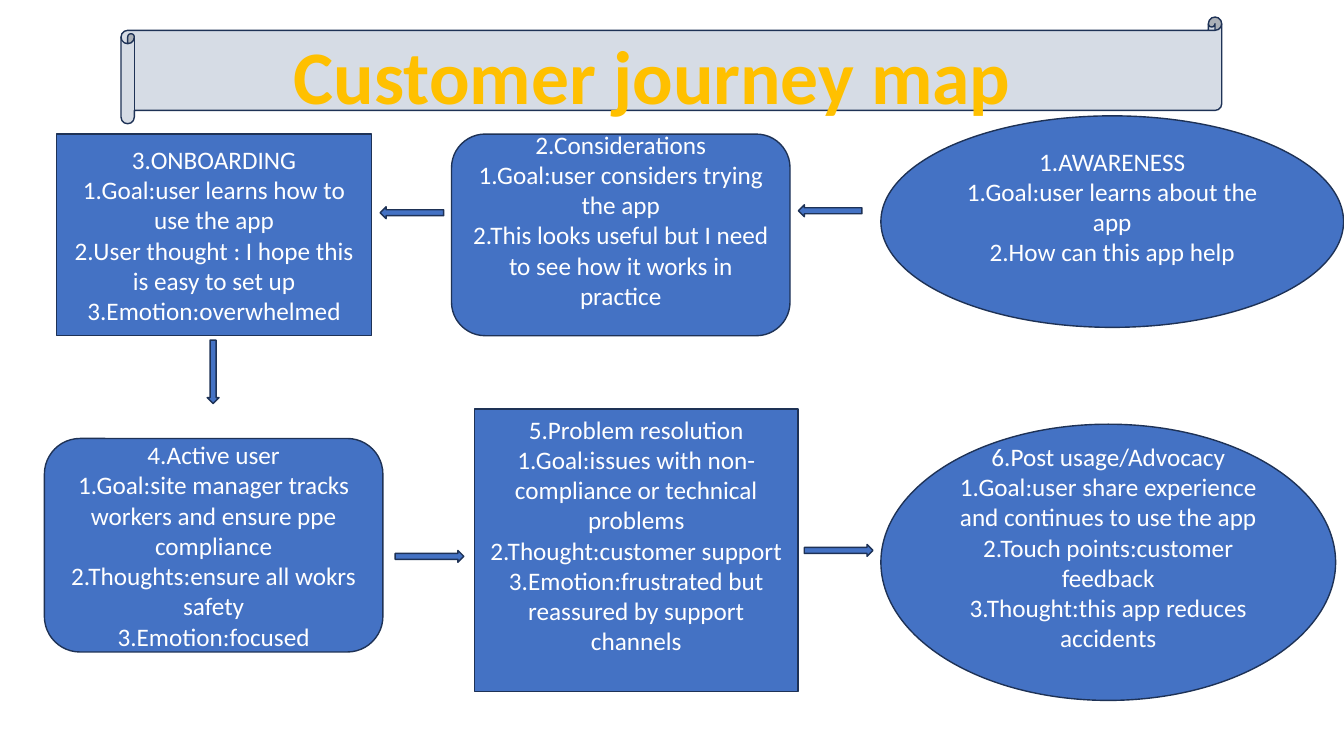
from pptx import Presentation
from pptx import util as u
from pptx.dml.color import RGBColor
from pptx.enum import shapes, text

Cm = u.Cm
KIND = shapes.MSO_SHAPE
BLUE, NAVY, PALE, GOLD, WHITE = "4472C4", "1E3256", "D6DCE5", "FFC000", "FFFFFF"
LINE_HEIGHT = 0.77  # one 18 pt line, in cm

journey = Presentation()
journey.slide_width, journey.slide_height = Cm(33.87), Cm(19.05)
slide = journey.slides.add_slide(journey.slide_layouts[6])


def add_outlined(kind, left, top, width, height, fill=BLUE):
    shape = slide.shapes.add_shape(kind, Cm(left), Cm(top), Cm(width), Cm(height))
    shape.shadow.inherit = False
    shape.fill.solid()
    shape.fill.fore_color.rgb = RGBColor.from_string(fill)
    shape.line.color.rgb = RGBColor.from_string(NAVY)
    shape.line.width = u.Pt(1)
    return shape


def write(frame, lines, size=18, color=WHITE, bold=False, wrap=True,
          anchor=text.MSO_ANCHOR.MIDDLE):
    frame.word_wrap = wrap
    frame.vertical_anchor = anchor
    for index, line in enumerate(lines):
        paragraph = frame.add_paragraph() if index else frame.paragraphs[0]
        paragraph.alignment = text.PP_ALIGN.CENTER
        run = paragraph.add_run()
        run.text = line
        run.font.name = "Calibri"
        run.font.size = u.Pt(size)
        run.font.bold = bold
        run.font.color.rgb = RGBColor.from_string(color)


# Title on its scroll
add_outlined(KIND.HORIZONTAL_SCROLL, 3.05, 0.43, 27.74, 2.69, fill=PALE)
title = slide.shapes.add_textbox(Cm(7.06), Cm(0.61), Cm(18.77), Cm(4.88))
write(title.text_frame, ["Customer journey map"], size=54, color=GOLD, bold=True,
      wrap=False, anchor=text.MSO_ANCHOR.TOP)

# Stages: outline, left, top, width, height, raised by half a line, wording
stages = [
    (KIND.OVAL, 22.2, 2.92, 11.66, 5.33, True,
     ["1.AWARENESS",
      "1.Goal:user learns about the app",
      "2.How can this app help"]),
    (KIND.ROUNDED_RECTANGLE, 11.38, 3.38, 8.53, 5.08, True,
     ["2.Considerations",
      "1.Goal:user considers trying the app",
      "2.This looks useful but I need to see how it works in practice"]),
    (KIND.RECTANGLE, 1.42, 3.38, 7.95, 5.08, False,
     ["3.ONBOARDING",
      "1.Goal:user learns how to use the app",
      "2.User thought : I hope this is easy to set up",
      "3.Emotion:overwhelmed"]),
    (KIND.ROUNDED_RECTANGLE, 1.12, 11.05, 8.53, 5.38, False,
     ["4.Active user",
      "1.Goal:site manager tracks workers and ensure ppe compliance",
      "2.Thoughts:ensure all wokrs safety",
      "3.Emotion:focused"]),
    (KIND.RECTANGLE, 11.96, 10.31, 8.15, 7.11, True,
     ["5.Problem resolution",
      "1.Goal:issues with non-compliance or technical problems",
      "2.Thought:customer support",
      "3.Emotion:frustrated but reassured by support channels"]),
    (KIND.OVAL, 22.2, 10.69, 11.46, 6.96, True,
     ["6.Post usage/Advocacy",
      "1.Goal:user share experience and continues to use the app",
      "2.Touch points:customer feedback",
      "3.Thought:this app reduces accidents"]),
]
for kind, left, top, width, height, raised, wording in stages:
    stage = add_outlined(kind, left, top, width, height)
    write(stage.text_frame, wording)
    if raised:
        stage.text_frame.margin_bottom += Cm(LINE_HEIGHT)

# Arrows from stage to stage: left, top, length, rotation
steps = [
    (20.12, 5.16, 1.6, 180),
    (9.58, 5.21, 1.6, 180),
    (4.57, 9.22, 1.6, 90),
    (9.96, 13.87, 1.73, 0),
    (20.27, 13.72, 1.73, 0),
]
for left, top, length, rotation in steps:
    arrow = add_outlined(KIND.RIGHT_ARROW, left, top, length, 0.3)
    arrow.rotation = rotation

journey.save("out.pptx")
